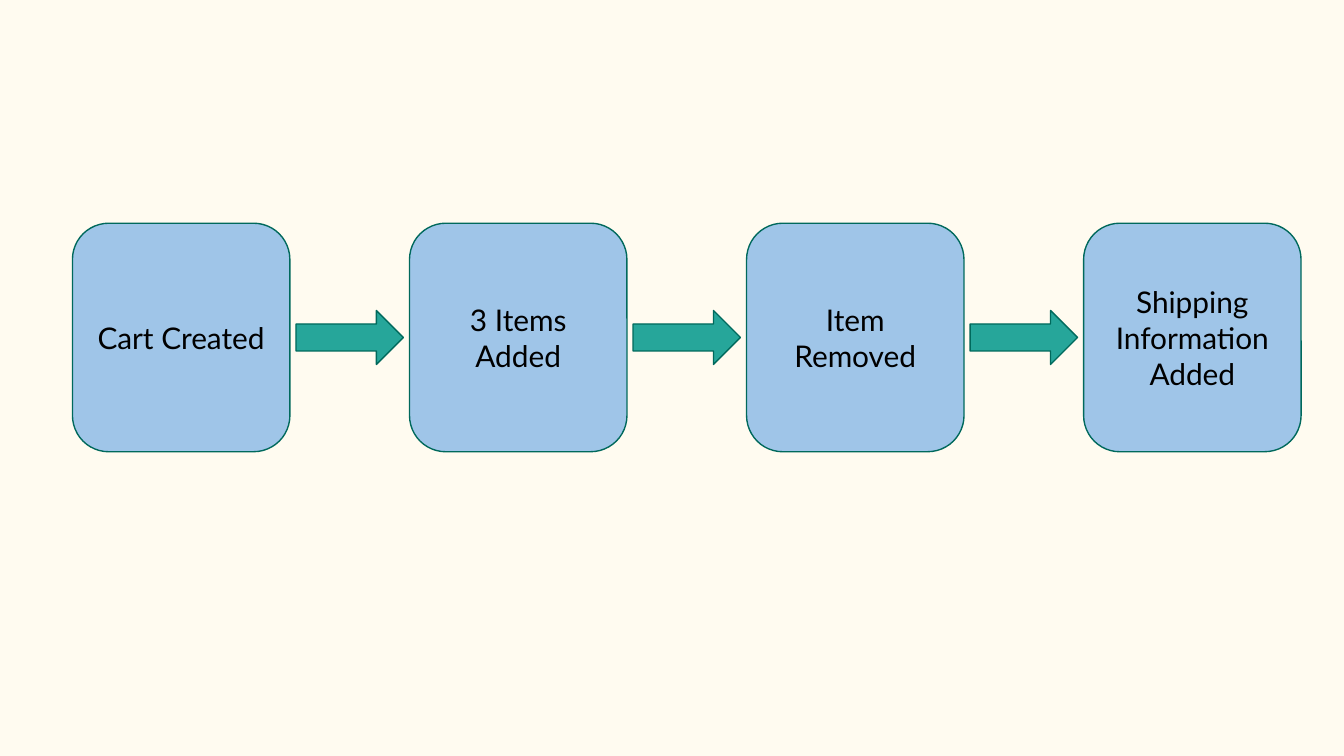
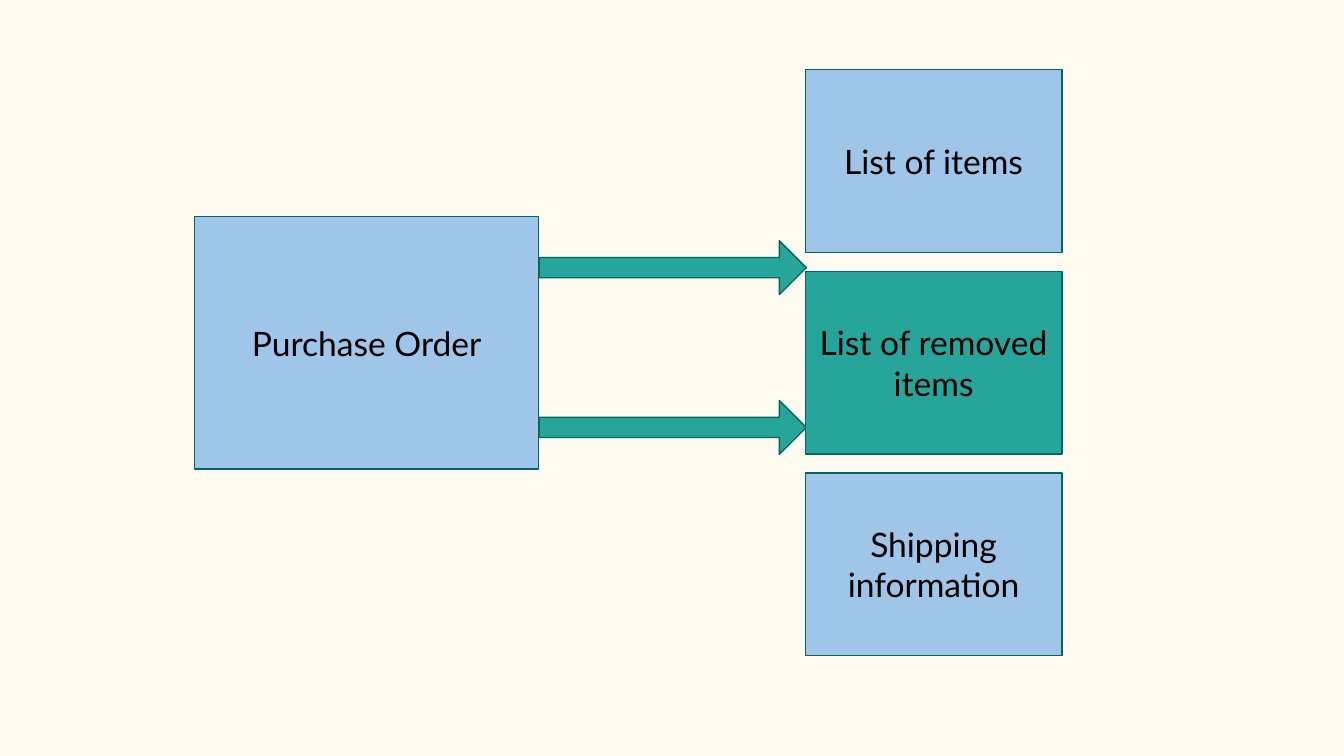
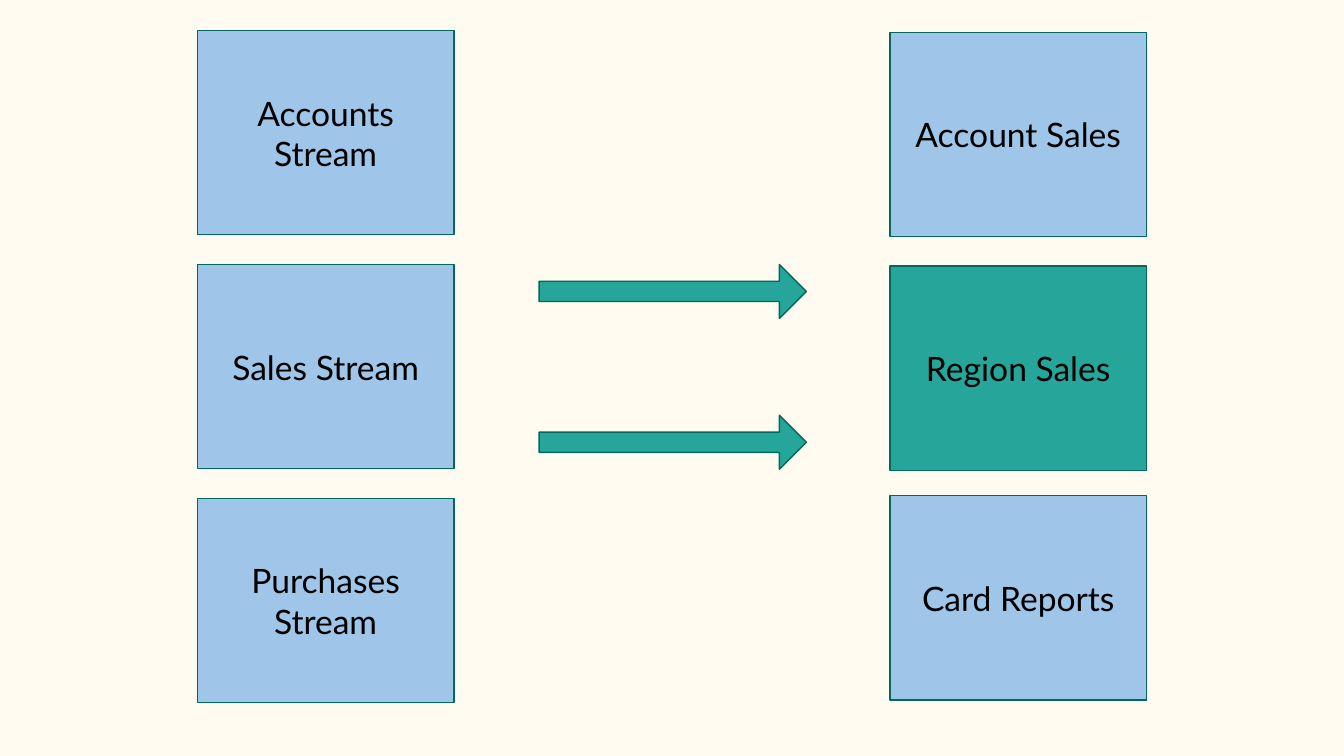
from dataclasses import dataclass

import pptx
import pptx.dml.color
import pptx.enum.shapes
import pptx.enum.text
import pptx.util

Cm = pptx.util.Cm
Shape = pptx.enum.shapes.MSO_SHAPE


def rgb(value):
    return pptx.dml.color.RGBColor.from_string(value)


@dataclass(frozen=True)
class Theme:
    background = rgb("FFFBF0")
    box = rgb("9FC5E8")
    accent = rgb("26A69A")
    outline = rgb("00695C")
    text = rgb("000000")
    font = "Lato"
    event_size = pptx.util.Pt(16)
    block_size = pptx.util.Pt(18)
    outline_width = pptx.util.Pt(0.75)
    inset = Cm(0.25)


THEME = Theme()

# Content
CART_EVENTS = ["Cart Created", "3 Items Added", "Item Removed",
               "Shipping Information Added"]
ORDER = "Purchase Order"
ORDER_PARTS = ["List of items", "List of removed items", "Shipping information"]
STREAMS = ["Accounts Stream", "Sales Stream", "Purchases Stream"]
REPORTS = ["Account Sales", "Region Sales", "Card Reports"]
HIGHLIGHTED = {"List of removed items", "Region Sales"}

# Layout, in centimetres
SLIDE_SIZE = (25.4, 14.29)
EVENT = dict(left=1.37, top=4.22, width=4.11, height=4.32, pitch=6.37)
EVENT_ARROW_WIDTH = 2.03
ARROW_HEIGHT = 1.02
FLOW_ARROW = dict(left=10.19, width=5.05, shaft=0.375)
BLOCK_WIDTH = 4.85
PART_HEIGHT = 3.45
STREAM_HEIGHT = 3.86


# Shared parts
def add_outlined(slide, kind, left, top, width, height, fill):
    shape = slide.shapes.add_shape(kind, Cm(left), Cm(top), Cm(width), Cm(height))
    shape.shadow.inherit = False
    shape.fill.solid()
    shape.fill.fore_color.rgb = fill
    shape.line.color.rgb = THEME.outline
    shape.line.width = THEME.outline_width
    return shape


def add_box(slide, label, left, top, width, height,
            kind=Shape.RECTANGLE, size=THEME.block_size):
    fill = THEME.accent if label in HIGHLIGHTED else THEME.box
    frame = add_outlined(slide, kind, left, top, width, height, fill).text_frame
    frame.word_wrap = True
    frame.vertical_anchor = pptx.enum.text.MSO_ANCHOR.MIDDLE
    frame.margin_left = frame.margin_right = THEME.inset
    frame.margin_top = frame.margin_bottom = THEME.inset
    paragraph = frame.paragraphs[0]
    paragraph.text = label
    paragraph.alignment = pptx.enum.text.PP_ALIGN.CENTER
    paragraph.font.name = THEME.font
    paragraph.font.size = size
    paragraph.font.color.rgb = THEME.text


def add_column(slide, labels, left, tops, height):
    for label, top in zip(labels, tops):
        add_box(slide, label, left, top, BLOCK_WIDTH, height)


def add_arrow(slide, left, top, width, shaft=0.5):
    arrow = add_outlined(slide, Shape.RIGHT_ARROW, left, top, width,
                         ARROW_HEIGHT, THEME.accent)
    arrow.adjustments[0] = shaft


def add_flow_arrows(slide, tops):
    for top in tops:
        add_arrow(slide, top=top, **FLOW_ARROW)


# Slides
def build_cart_events(slide):
    gap = EVENT["pitch"] - EVENT["width"]
    arrow_top = EVENT["top"] + (EVENT["height"] - ARROW_HEIGHT) / 2
    for index, event in enumerate(CART_EVENTS):
        left = EVENT["left"] + index * EVENT["pitch"]
        add_box(slide, event, left, EVENT["top"], EVENT["width"], EVENT["height"],
                Shape.ROUNDED_RECTANGLE, THEME.event_size)
        if index:
            add_arrow(slide, left - (gap + EVENT_ARROW_WIDTH) / 2, arrow_top,
                      EVENT_ARROW_WIDTH)


def build_purchase_order(slide):
    add_box(slide, ORDER, 3.68, 4.09, 6.5, 4.78)
    add_flow_arrows(slide, [4.55, 7.57])
    part_tops = [1.32 + 3.81 * row for row in range(len(ORDER_PARTS))]
    add_column(slide, ORDER_PARTS, 15.22, part_tops, PART_HEIGHT)


def build_stream_reports(slide):
    stream_tops = [0.58 + 4.42 * row for row in range(len(STREAMS))]
    add_column(slide, STREAMS, 3.73, stream_tops, STREAM_HEIGHT)
    add_flow_arrows(slide, [5, 7.85])
    add_column(slide, REPORTS, 16.82, [0.61, 5.03, 9.37], STREAM_HEIGHT)


def main():
    deck = pptx.Presentation()
    deck.slide_width, deck.slide_height = map(Cm, SLIDE_SIZE)
    backdrop = deck.slide_master.background.fill
    backdrop.solid()
    backdrop.fore_color.rgb = THEME.background
    blank = deck.slide_layouts.get_by_name("Blank")
    for build in (build_cart_events, build_purchase_order, build_stream_reports):
        build(deck.slides.add_slide(blank))
    deck.save("out.pptx")


if __name__ == "__main__":
    main()
